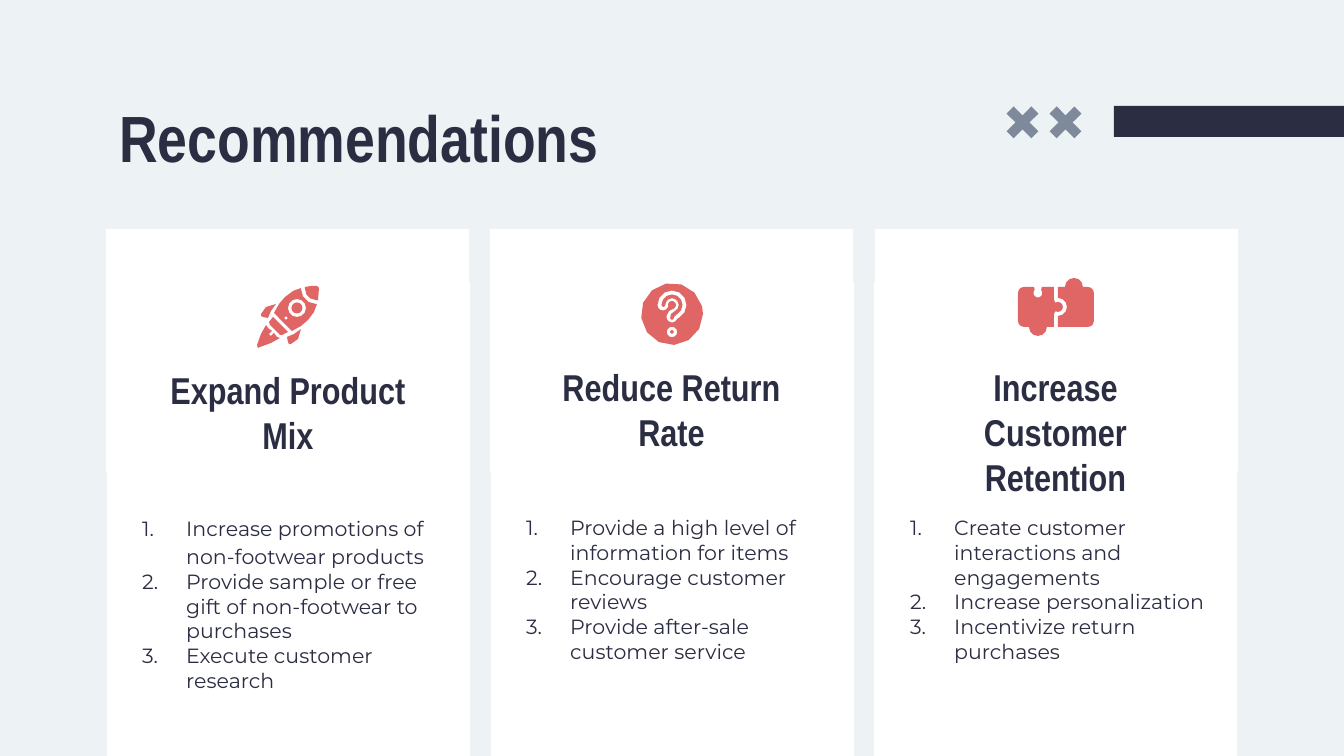
import math

import lxml.etree
import pptx
import pptx.dml.color
import pptx.enum.shapes
import pptx.enum.text
import pptx.oxml.ns
import pptx.util

PX = 9144000 / 1344  # EMU in one px
PAGE_WIDTH, PAGE_HEIGHT = 1344, 756
COLORS = {"page": "EDF2F4", "card": "FFFFFF", "ink": "2B2D42",
          "cross": "7E899C", "icon": "E06666"}
HEADING_FONT, BODY_FONT = "Arial Narrow", "Montserrat"
SHAPES = pptx.enum.shapes.MSO_SHAPE
ALIGN = pptx.enum.text.PP_ALIGN


def emu(length):
    return pptx.util.Emu(round(length * PX))


def rgb(name):
    return pptx.dml.color.RGBColor.from_string(COLORS[name])


def paint(shape, color):
    shape.shadow.inherit = False
    shape.fill.solid()
    shape.fill.fore_color.rgb = rgb(color)
    shape.line.fill.background()
    return shape


def add_block(page, kind, box, color):
    return paint(page.shapes.add_shape(kind, *map(emu, box)), color)


def number_paragraph(para):
    properties = para._p.get_or_add_pPr()
    properties.set("marL", str(emu(67)))
    properties.set("indent", str(-emu(44)))
    qn = pptx.oxml.ns.qn
    bullet_color = lxml.etree.SubElement(properties, qn("a:buClr"))
    lxml.etree.SubElement(bullet_color, qn("a:srgbClr"), val=COLORS["ink"])
    lxml.etree.SubElement(properties, qn("a:buFont"), typeface=BODY_FONT)
    lxml.etree.SubElement(properties, qn("a:buAutoNum"), type="arabicPeriod")


def add_text(page, box, lines, *, size, font=HEADING_FONT, bold=False,
             align=ALIGN.LEFT, numbered=False, first_spacing=None):
    frame = page.shapes.add_textbox(*map(emu, box)).text_frame
    frame.word_wrap = True
    frame.vertical_anchor = pptx.enum.text.MSO_ANCHOR.TOP
    frame.margin_left = frame.margin_right = pptx.util.Inches(0.1)
    frame.margin_top = frame.margin_bottom = pptx.util.Inches(0.1)
    for index, line in enumerate(lines):
        para = frame.add_paragraph() if index else frame.paragraphs[0]
        para.alignment = align
        if numbered:
            number_paragraph(para)
        if index == 0 and first_spacing:
            para.line_spacing = first_spacing
        span = para.add_run()
        span.text = line
        span.font.size = pptx.util.Pt(size)
        span.font.name = font
        span.font.bold = bold
        span.font.color.rgb = rgb("ink")


# Icons: parts made of outlines, in px from the corner of the icon's box
def arc(x, y, radius, start, end):
    steps = max(2, round(abs(end - start) / 30))
    angles = [math.radians(start + (end - start) * i / steps) for i in range(steps + 1)]
    return [(x + radius * math.cos(a), y + radius * math.sin(a)) for a in angles]


def circle(x, y, radius):
    return arc(x, y, radius, 0, 330)


def rocket():
    nose = arc(59, 3, 11, 180, 90) + [(61, 14), (62, 2), (60, 0), (54, 0), (48, 1)]
    body = [(44, 2), (36, 5), (28, 11), (22, 18), (17, 27), (35, 45), (44, 40),
            (51, 34), (57, 26), (60, 18)] + arc(59, 3, 15, 90, 180)
    band = [(16, 31), (12, 36), (13, 39), (23, 49), (25, 49), (31, 46)]
    fin = [(44, 43), (37, 48), (30, 51), (31, 56), (32, 58), (34, 58), (41, 53)]
    mirrored_fin = [(62 - y, 62 - x) for x, y in fin]
    flame = [(9, 39), (4, 48), (0, 59), (1, 62), (3, 61), (14, 57), (23, 52), (20, 51),
             (17, 47), (14, 50), (12, 48), (15, 45), (11, 42)]
    window = circle(40, 22, 5.5)
    return [[band], [nose], [window], [body, circle(40, 22, 9), circle(29, 32, 1.5)],
            [fin], [mirrored_fin], [flame]]


def question():
    hollow = (arc(31, 22, 14.5, 180, 420) + [(36, 36)] + arc(31, 34, 5.5, 20, 195)
              + [(28, 28)] + arc(31, 22, 4, 60, -180) + arc(22, 22, 5.5, 0, 180))
    mark = (arc(31, 22, 10.5, 180, 420) + [(33, 34)] + arc(31, 35, 1.8, 0, 180)
            + [(30, 31)] + arc(31, 22, 6.7, 60, -180) + arc(22.4, 22, 1.9, 0, 180))
    disc = arc(31, 31, 31, 0, 345)
    return [[circle(31, 49, 1.8)], [mark], [disc, hollow, circle(31, 49, 5.2)]]


def puzzle():
    left = (arc(6, 15, 6, 180, 270) + [(16, 9)] + arc(20, 15, 4.5, 225, -45)
            + [(24, 9), (36, 9), (36, 22)] + arc(40, 29, 5, 240, 480)
            + [(36, 36), (36, 49)] + arc(20, 49, 9, 0, 180) + arc(6, 43, 6, 90, 180))
    right = ([(40, 9)] + arc(56, 9, 9, 180, 360) + arc(70, 15, 6, 270, 360)
             + arc(70, 43, 6, 0, 90) + [(40, 49)] + arc(40, 29, 9, 90, -90))
    return [[left], [right]]


def add_icon(page, left, top, parts):
    group = page.shapes.add_group_shape()
    for part in parts:
        placed = [[(emu(left + x), emu(top + y)) for x, y in outline] for outline in part]
        builder = group.shapes.build_freeform(*placed[0][0], scale=1.0)
        for index, outline in enumerate(placed):
            if index:
                builder.move_to(*outline[0])
            builder.add_line_segments(outline[1:], close=True)
        paint(builder.convert_to_shape(), "icon")


CARDS = [
    {"heading": "Expand Product Mix", "heading_box": (30, 125, 304, 66),
     "icon": rocket, "icon_at": (151, 57), "column_shift": 1,
     "list_box": (0, 270, 341, 113), "first_spacing": 1.15,
     "items": ["Increase promotions of non-footwear products",
               "Provide sample or free gift of non-footwear to purchases",
               "Execute customer research"]},
    {"heading": "Reduce Return Rate", "heading_box": (52, 122, 259, 66),
     "icon": question, "icon_at": (151, 54), "column_shift": 1,
     "list_box": (0, 273, 363, 113), "first_spacing": None,
     "items": ["Provide a high level of information for items",
               "Encourage customer reviews",
               "Provide after-sale customer service"]},
    {"heading": "Increase Customer Retention", "heading_box": (51, 122, 259, 66),
     "icon": puzzle, "icon_at": (143, 49), "column_shift": -1,
     "list_box": (-1, 273, 363, 113), "first_spacing": None,
     "items": ["Create customer interactions and engagements",
               "Increase personalization",
               "Incentivize return purchases"]},
]


def add_header(page, left, top, width):
    add_text(page, (left, top, 598, 83), ["Recommendations"], size=35, bold=True)
    # Crosses and the bar that runs to the page edge
    for offset in (899, 942):
        cross = add_block(page, SHAPES.CROSS, (left + offset, top + 21, 35, 35), "cross")
        cross.adjustments[0] = 0.356
        cross.rotation = 45
    add_block(page, SHAPES.RECTANGLE, (left + 1008, top + 22, width - 1008, 31), "ink")


def add_card(page, left, top, width, height, card):
    def inside(box):
        return (left + box[0], top + box[1], *box[2:])

    # Long column to the page edge, with the heading panel over it
    column = inside((card["column_shift"], 53, width, height - 53))
    add_block(page, SHAPES.RECTANGLE, column, "card")
    add_block(page, SHAPES.RECTANGLE, (left, top, width, 242), "card")
    add_icon(page, *inside(card["icon_at"]), card["icon"]())
    add_text(page, inside(card["heading_box"]), [card["heading"]],
             size=20, bold=True, align=ALIGN.CENTER)
    add_text(page, inside(card["list_box"]), card["items"], size=11, font=BODY_FONT,
             numbered=True, first_spacing=card["first_spacing"])


def main():
    deck = pptx.Presentation()
    deck.slide_width, deck.slide_height = emu(PAGE_WIDTH), emu(PAGE_HEIGHT)
    page = deck.slides.add_slide(deck.slide_layouts[6])
    page.background.fill.solid()
    page.background.fill.fore_color.rgb = rgb("page")
    margin, card_top, card_width, pitch = 106, 229, 363, 384.5
    add_header(page, margin, 84, PAGE_WIDTH - margin)
    for index, card in enumerate(CARDS):
        add_card(page, round(margin + index * pitch), card_top, card_width,
                 PAGE_HEIGHT - card_top, card)
    deck.save("out.pptx")


if __name__ == "__main__":
    main()
